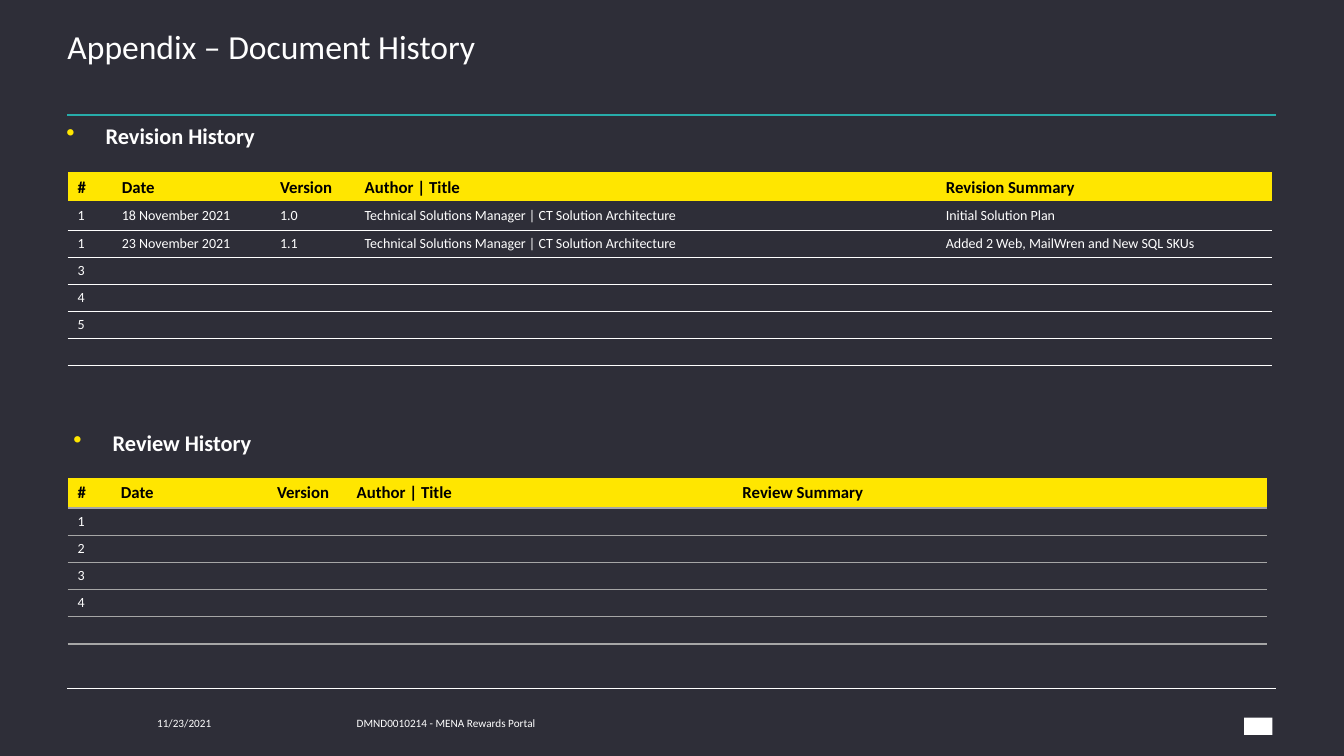
from pptx import Presentation
from pptx.dml.color import RGBColor
from pptx.enum.shapes import MSO_CONNECTOR, MSO_SHAPE
from pptx.enum.text import MSO_ANCHOR
from pptx.oxml.ns import qn
from pptx.util import Emu, Pt
from lxml.etree import SubElement

PX = 9144  # 100 px to the inch
WIDTH, HEIGHT = 1334, 750
FONT = "Calibri"
COLORS = {"page": "2E2E38", "yellow": "FFE600", "white": "FFFFFF",
          "black": "000000", "teal": "27ACAA", "gray": "A6A6A6"}
PLAIN_TABLE = "{2D5ABB26-0587-4C30-8999-92F81FD0307C}"
HEADER_HEIGHT, ROW_HEIGHT = 30, 27

ROLE = "Technical Solutions Manager | CT Solution Architecture"
REVISIONS = [
    ["#", "Date", "Version", "Author | Title", "Revision Summary"],
    ["1", "18 November 2021", "1.0", ROLE, "Initial Solution Plan"],
    ["1", "23 November 2021", "1.1", ROLE, "Added 2 Web, MailWren and New SQL SKUs"],
    ["3"], ["4"], ["5"], [],
]
REVIEWS = [
    ["#", "Date", "Version", "Author | Title", "Review Summary"],
    ["1"], ["2"], ["3"], ["4"], [], [],
]


def px(*lengths):
    return [Emu(length * PX) for length in lengths]


def rgb(name):
    return RGBColor.from_string(COLORS[name])


def style(para, size, color="white", bold=False):
    font = para.font
    font.name, font.size, font.bold = FONT, Pt(size), bold
    font.color.rgb = rgb(color)


def add_text(page, box, text, size, bold=False, inset=True, anchor=MSO_ANCHOR.TOP):
    frame = page.shapes.add_textbox(*px(*box)).text_frame
    frame.word_wrap = True
    frame.vertical_anchor = anchor
    if not inset:
        frame.margin_left = frame.margin_right = 0
        frame.margin_top = frame.margin_bottom = 0
    para = frame.paragraphs[0]
    para.text = text
    style(para, size, bold=bold)
    return para


def add_rule(page, left, right, y, color, width):
    rule = page.shapes.add_connector(MSO_CONNECTOR.STRAIGHT, *px(left, y, right, y))
    rule.line.color.rgb = rgb(color)
    rule.line.width = Pt(width)
    SubElement(rule._element.spPr, qn("a:effectLst"))


def add_heading(page, box, text):
    """Bold section heading with a yellow bullet and a hanging indent."""
    para = add_text(page, box, text, 16, bold=True)
    props = para._p.get_or_add_pPr()
    indent = 39 * PX
    props.set("marL", str(indent))
    props.set("indent", str(-indent))
    color = SubElement(props, qn("a:buClr"))
    SubElement(color, qn("a:srgbClr"), val=COLORS["yellow"])
    SubElement(props, qn("a:buSzPct"), val="110000")
    SubElement(props, qn("a:buChar"), char="•")
    # Bullet elements come before the default run properties
    props.append(props.find(qn("a:defRPr")))


def add_border(cell, side, color, width):
    line = SubElement(cell._tc.get_or_add_tcPr(), qn("a:ln" + side), w=str(Pt(width)))
    fill = SubElement(line, qn("a:solidFill"))
    SubElement(fill, qn("a:srgbClr"), val=COLORS[color])


def fill_cell(cell, text, is_header):
    size = 12 if is_header else 10
    para = cell.text_frame.paragraphs[0]
    if text:
        para.text = text
    else:
        para._p.get_or_add_endParaRPr().set("sz", str(size * 100))
    style(para, size, "black" if is_header else "white", bold=is_header)
    if is_header:
        cell.fill.solid()
        cell.fill.fore_color.rgb = rgb("yellow")
    else:
        cell.fill.background()


def add_history(page, left, top, widths, rows, header_rule, row_rule, closed):
    """Table with ruled rows; closed tells whether the last row has a bottom rule."""
    height = HEADER_HEIGHT + ROW_HEIGHT * (len(rows) - 1)
    frame = page.shapes.add_table(len(rows), len(widths),
                                  *px(left, top, sum(widths), height))
    table = frame.table
    table.first_row = table.horz_banding = False
    table._tbl.tblPr.find(qn("a:tableStyleId")).text = PLAIN_TABLE
    for column, width in zip(table.columns, widths):
        column.width = Emu(width * PX)
    for r, texts in enumerate(rows):
        is_header = r == 0
        table.rows[r].height = Emu((HEADER_HEIGHT if is_header else ROW_HEIGHT) * PX)
        for c in range(len(widths)):
            cell = table.cell(r, c)
            if r:
                add_border(cell, "T", *(header_rule if r == 1 else row_rule))
            if closed or r < len(rows) - 1:
                add_border(cell, "B", *(header_rule if is_header else row_rule))
            fill_cell(cell, texts[c] if c < len(texts) else "", is_header)


def add_title(page, left, top, width):
    para = add_text(page, (left, top, width, 65), "Appendix – Document History",
                    24, inset=False)
    para.line_spacing = 0.85
    add_rule(page, left, left + width, top + 82, "teal", 1.5)


def add_footer(page, left, top, width):
    add_rule(page, left, left + width, top, "white", 0.25)
    for offset, box_width, text in ((89, 130, "11/23/2021"),
                                    (287, 377, "DMND0010214 - MENA Rewards Portal")):
        add_text(page, (left + offset, top + 25, box_width, 19), text, 8,
                 inset=False, anchor=MSO_ANCHOR.MIDDLE)
    mark = page.shapes.add_shape(MSO_SHAPE.RECTANGLE,
                                 *px(left + width - 32, top + 29, 28, 17))
    mark.shadow.inherit = False
    mark.fill.solid()
    mark.fill.fore_color.rgb = rgb("white")
    mark.line.fill.background()


def main():
    deck = Presentation()
    deck.slide_width, deck.slide_height = px(WIDTH, HEIGHT)
    page = deck.slides.add_slide(deck.slide_layouts[6])
    page.background.fill.solid()
    page.background.fill.fore_color.rgb = rgb("page")

    left, width = 67, 1200
    add_title(page, left, 32, width)
    add_heading(page, (56, 116, 435, 52), "Revision History")
    add_history(page, left, 171, (44, 157, 84, 577, 334), REVISIONS,
                ("page", 2), ("white", 0.5), closed=True)
    add_heading(page, (63, 421, 435, 52), "Review History")
    add_history(page, left, 474, (43, 155, 79, 383, 531), REVIEWS,
                ("gray", 1), ("gray", 1), closed=False)
    add_footer(page, left, 683, width)
    deck.save("out.pptx")


if __name__ == "__main__":
    main()
